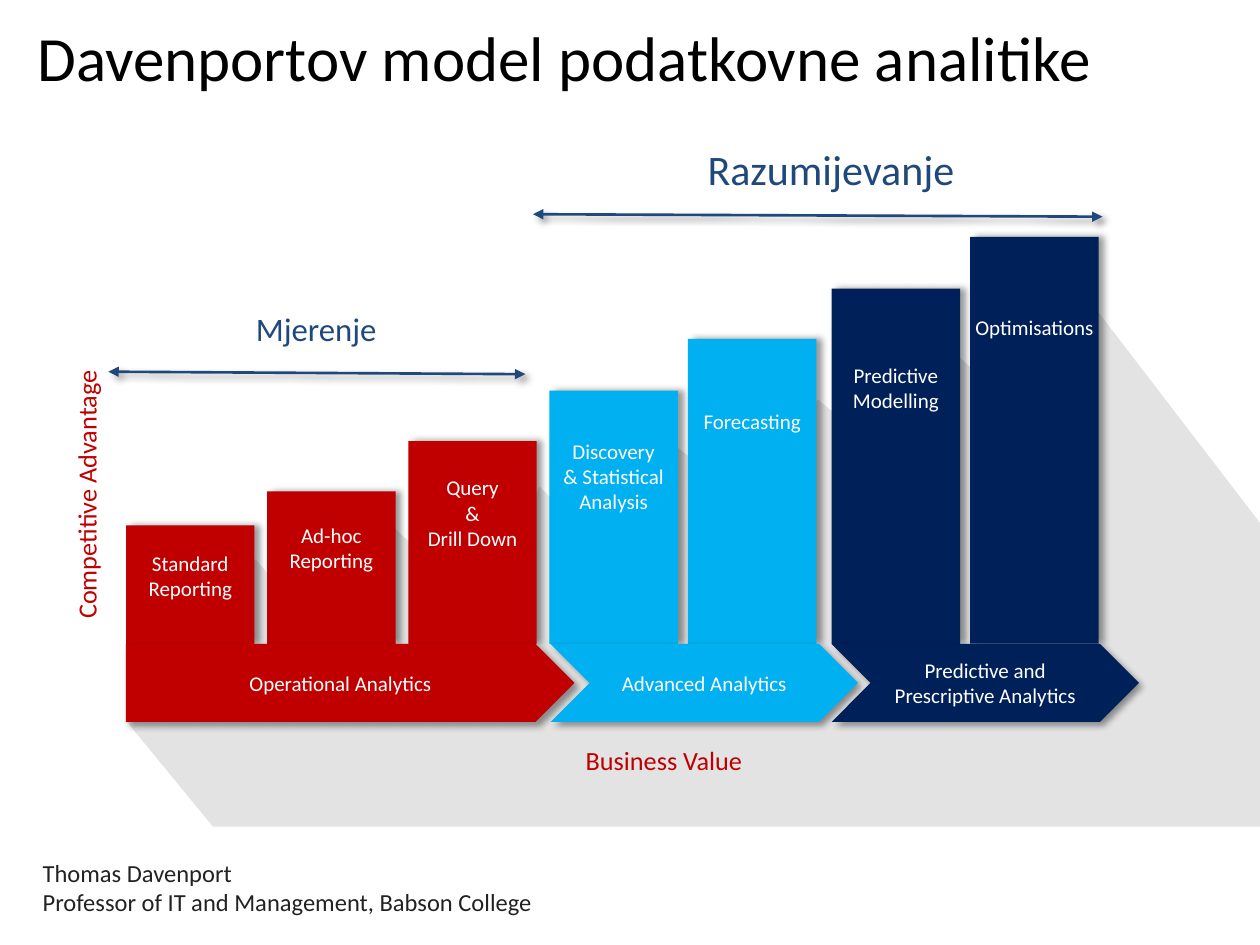
from lxml.etree import SubElement
from pptx import Presentation
from pptx.dml.color import RGBColor
from pptx.enum.shapes import MSO_CONNECTOR as Connector, MSO_SHAPE as Shape
from pptx.enum.text import MSO_ANCHOR as Anchor, MSO_AUTO_SIZE as AutoSize, PP_ALIGN as Align
from pptx.oxml.ns import qn
from pptx.util import Inches, Pt

BLACK = RGBColor(0x00, 0x00, 0x00)
WHITE = RGBColor(0xFF, 0xFF, 0xFF)
RED = RGBColor(0xC0, 0x00, 0x00)
SKY = RGBColor(0x00, 0xB0, 0xF0)
NAVY = RGBColor(0x00, 0x20, 0x59)
BLUE = RGBColor(0x1F, 0x49, 0x7D)
CHARCOAL = RGBColor(0x22, 0x22, 0x22)
FONT = "Calibri"

BASE = 5.11  # where the bars stand on the phase arrows
BAR_WIDTH = 1.02
PHASE_HEIGHT = 0.62

# left, height, colour, label lines, label width, label offset below bar top
BARS = [
    (1.00, 0.94, RED, ["Standard Reporting"], 0.99, 0.15),
    (2.12, 1.21, RED, ["Ad-hoc Reporting"], 1.06, 0.20),
    (3.24, 1.61, RED, ["Query", "&", "Drill Down"], 0.92, 0.22),
    (4.36, 2.01, SKY, ["Discovery", "& Statistical", "Analysis"], 1.04, 0.33),
    (5.46, 2.42, SKY, ["Forecasting"], 1.37, 0.50),
    (6.60, 2.82, NAVY, ["Predictive", "Modelling"], 1.89, 0.54),
    (7.70, 3.23, NAVY, ["Optimisations"], 2.19, 0.57),
]
# left, width, preset, colour, text
PHASES = [
    (1.00, 3.56, Shape.PENTAGON, RED, "Operational Analytics"),
    (4.37, 2.44, Shape.CHEVRON, SKY, "Advanced Analytics"),
    (6.60, 2.44, Shape.CHEVRON, NAVY, "Predictive and Prescriptive Analytics"),
]
# from, to
SPANS = [((0.86, 2.95), (4.17, 2.97)), ((4.23, 1.70), (8.75, 1.72))]
LONG_SHADOW = [
    (1, 5.72), (1.69, 6.56), (10, 6.56), (10, 4.15), (8.72, 2.48), (8.3, 3.47),
    (7.61, 2.83), (7.13, 3.69), (6.49, 3.17), (6.02, 4.06), (5.35, 3.53),
    (4.91, 4.47), (4.28, 3.86), (3.86, 4.87), (3.14, 4.2), (2.53, 5.02), (2.03, 4.44),
]
# box, lines, size, colour, further format
CAPTIONS = [
    ((-0.41, 3.74, 2.19, 0.35), ["Competitive Advantage"], 15, RED,
     {"rotation": 270, "wrap": False}),
    ((4.55, 5.86, 1.46, 0.35), ["Business Value"], 15, RED, {"wrap": False}),
    ((0.2, 0.19, 9.11, 0.52), ["Davenportov model podatkovne analitike"], 36, BLACK,
     {"anchor": Anchor.MIDDLE}),
    ((1.1, 2.4, 2.82, 0.42), ["Mjerenje"], 18.7, BLUE, {"align": Align.CENTER}),
    ((0.24, 6.76, 8.8, 0.57),
     ["Thomas Davenport", "Professor of IT and Management, Babson College"],
     14, CHARCOAL, {}),
]


def write(shape, lines, size, color, align=Align.LEFT, anchor=Anchor.TOP, wrap=True):
    frame = shape.text_frame
    settings = {"word_wrap": wrap, "vertical_anchor": anchor, "auto_size": AutoSize.NONE}
    for name, value in settings.items():
        setattr(frame, name, value)
    frame.text = "\n".join(lines)
    for paragraph in frame.paragraphs:
        paragraph.alignment = align
        font = paragraph.runs[0].font
        for name, value in {"name": FONT, "size": Pt(size)}.items():
            setattr(font, name, value)
        font.color.rgb = color


def add_caption(slide, box, lines, size, color, rotation=0, **text_format):
    shape = slide.shapes.add_textbox(*map(Inches, box))
    shape.rotation = rotation
    write(shape, lines, size, color, **text_format)


def add_filled(slide, preset, box, color):
    shape = slide.shapes.add_shape(preset, *map(Inches, box))
    shape.shadow.inherit = False
    shape.fill.solid()
    shape.fill.fore_color.rgb = color
    shape.line.fill.background()
    return shape


def add_alpha(color_element, percent):
    SubElement(color_element, qn("a:alpha"), val=str(percent * 1000))


def cast_shadow(properties, degrees):
    """Fill the effect list with a soft outer shadow."""
    effects = properties.find(qn("a:effectLst"))
    if effects is None:
        effects = SubElement(properties, qn("a:effectLst"))
    outer = SubElement(effects, qn("a:outerShdw"), blurRad=str(Pt(4)), dist=str(Pt(3)),
                       dir=str(degrees * 60000), algn="tl", rotWithShape="0")
    add_alpha(SubElement(outer, qn("a:srgbClr"), val=str(BLACK)), 40)


def add_long_shadow(slide):
    points = [(Inches(x), Inches(y)) for x, y in LONG_SHADOW]
    builder = slide.shapes.build_freeform(*points[0])
    builder.add_line_segments(points[1:], close=True)
    shape = builder.convert_to_shape()
    shape.shadow.inherit = False
    shape.fill.solid()
    shape.fill.fore_color.rgb = BLACK
    shape.line.fill.background()
    add_alpha(shape.element.spPr.find(qn("a:solidFill"))[0], 11)


def add_span(slide, start, end):
    """Add a double-headed arrow."""
    line = slide.shapes.add_connector(Connector.STRAIGHT, *map(Inches, start + end))
    line.line.color.rgb = BLUE
    line.line.width = Pt(1.5)
    for tag in ("a:headEnd", "a:tailEnd"):
        SubElement(line.line._get_or_add_ln(), qn(tag), type="triangle")
    cast_shadow(line.element.spPr, 45)


def main():
    presentation = Presentation()
    presentation.slide_width, presentation.slide_height = Inches(10), Inches(7.5)
    slide = presentation.slides.add_slide(presentation.slide_layouts[6])

    add_long_shadow(slide)
    for left, height, color, *_ in BARS:
        bar = add_filled(slide, Shape.RECTANGLE, (left, BASE - height, BAR_WIDTH, height), color)
        cast_shadow(bar.element.spPr, 0)
    for left, width, preset, color, text in PHASES:
        phase = add_filled(slide, preset, (left, BASE, width, PHASE_HEIGHT), color)
        cast_shadow(phase.element.spPr, 45)
        write(phase, [text], 12, WHITE, Align.CENTER, Anchor.MIDDLE)
    for left, height, _, lines, width, offset in BARS:
        box = (left + (BAR_WIDTH - width) / 2, BASE - height + offset, width, 0.5)
        add_caption(slide, box, lines, 12, WHITE, align=Align.CENTER)

    for start, end in SPANS:
        add_span(slide, start, end)
    for box, lines, size, color, text_format in CAPTIONS:
        add_caption(slide, box, lines, size, color, **text_format)
    heading = add_filled(slide, Shape.ROUNDED_RECTANGLE, (5.32, 1.04, 2.55, 0.6), WHITE)
    write(heading, ["Razumijevanje"], 24, BLUE, Align.CENTER, Anchor.MIDDLE)

    presentation.save("out.pptx")


if __name__ == "__main__":
    main()
